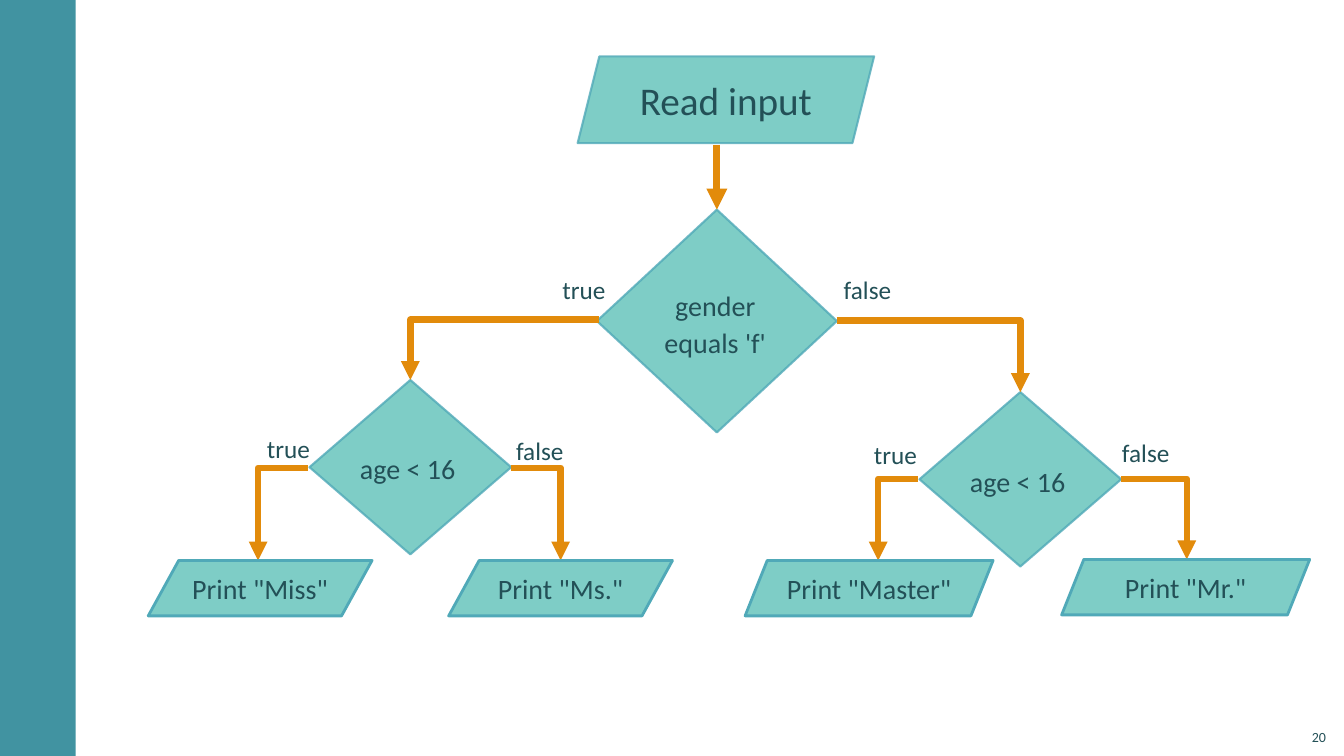
from lxml.etree import SubElement as Sub
from pptx import Presentation
from pptx.dml.color import RGBColor as RGB
from pptx.enum.shapes import MSO_CONNECTOR as Link, MSO_SHAPE as Form
from pptx.enum.text import MSO_ANCHOR as Anchor, PP_ALIGN as Align
from pptx.oxml.ns import qn
from pptx.util import Emu, Pt

SCALE = 9144


def px(n):
    return Emu(n * SCALE)


def color(code):
    return RGB.from_string(code)


def write(frame, text, size=20, align=Align.LEFT, anchor=Anchor.TOP,
          lead=None, inset=(10, 5), ink="235057", font="Calibri"):
    frame.word_wrap = True
    frame.vertical_anchor = anchor
    frame.margin_left = frame.margin_right = px(inset[0])
    frame.margin_top = frame.margin_bottom = px(inset[1])
    para = frame.paragraphs[0]
    para.text = text
    para.alignment = align
    if lead:
        para.line_spacing = lead
    para.font.size = Pt(size)
    para.font.name = font
    para.font.color.rgb = color(ink)


def fade(fill):
    tone = fill._xPr.find(qn("a:solidFill"))[0]
    Sub(tone, qn("a:alpha"), val="80000")


class Chart:
    fill = "5EC1B8"
    edge = "50A9B8"
    arrow = "E28B0B"
    side = "4193A1"

    def __init__(self, slide):
        self.slide = slide

    def shape(self, form, x, y, w, h, fill):
        item = self.slide.shapes.add_shape(form, px(x), px(y), px(w), px(h))
        item.shadow.inherit = False
        item.fill.solid()
        item.fill.fore_color.rgb = color(fill)
        return item

    def band(self, x, y, w, h):
        self.shape(Form.RECTANGLE, x, y, w, h, self.side).line.fill.background()

    def node(self, form, x, y, w, h, width=1.5, clear=True):
        item = self.shape(form, x, y, w, h, self.fill)
        fade(item.fill)
        item.line.color.rgb = color(self.edge)
        item.line.width = Pt(width)
        if clear:
            fade(item.line.fill)
        return item

    def start(self, text, *box):
        item = self.node(Form.PARALLELOGRAM, *box)
        write(item.text_frame, text, size=28, align=Align.CENTER,
              anchor=Anchor.MIDDLE)

    def output(self, text, x, y, w, slant):
        item = self.node(Form.PARALLELOGRAM, x, y, w, 55, 2, False)
        item.adjustments[0] = slant
        write(item.text_frame, text, align=Align.CENTER, anchor=Anchor.MIDDLE)

    def label(self, text, x, y, w, h, **style):
        box = self.slide.shapes.add_textbox(px(x), px(y), px(w), px(h))
        write(box.text_frame, text, **style)

    def test(self, text, box, area, align=Align.LEFT):
        item = self.node(Form.DIAMOND, *box)
        self.label(text, *area, align=align, lead=1.1, inset=(16, 12))
        return item

    def line(self, kind, x, y, ex, ey, width):
        item = self.slide.shapes.add_connector(kind, px(x), px(y), px(ex), px(ey))
        item.line.color.rgb = color(self.arrow)
        item.line.width = Pt(width)
        Sub(item.line._get_or_add_ln(), qn("a:tailEnd"), type="triangle")
        Sub(item._element.spPr, qn("a:effectLst"))
        return item

    def bend(self, x, y, ex, ey):
        props = self.line(Link.ELBOW, x, y, ex, ey, 4.5)._element.spPr
        props.find(qn("a:prstGeom")).set("prst", "bentConnector2")
        if ex < x:
            turn = props.find(qn("a:xfrm"))
            turn.attrib.pop("flipH")
            turn.set("rot", "10800000")
            turn.set("flipV", "1")


def main():
    deck = Presentation()
    deck.slide_width, deck.slide_height = px(1333), px(750)
    chart = Chart(deck.slides.add_slide(deck.slide_layouts[6]))

    chart.band(0, 0, 75, 750)
    chart.start("Read input", 573, 56, 294, 86)
    gender = chart.test("gender\nequals 'f'", (592, 208, 238, 221),
                        (606, 271, 207, 96), Align.CENTER)
    for x, y in ((307, 377), (912, 389)):
        chart.test("age < 16", (x, y, 200, 173), (x + 34, y + 56, 145, 59))

    stem = chart.line(Link.STRAIGHT, 711, 144, 711, 208, 5)
    stem.end_connect(gender, 0)
    for bend in ((594, 317, 407, 377), (830, 318, 1012, 389),
                 (305, 464, 256, 556), (507, 464, 556, 556),
                 (910, 475, 871, 556), (1112, 475, 1177, 555)):
        chart.bend(*bend)

    for text, x, y in (("true", 548, 267), ("false", 827, 267),
                       ("true", 255, 425), ("false", 502, 427),
                       ("true", 857, 431), ("false", 1103, 429)):
        chart.label(text, x, y, 84, 50, size=18)

    for text, x, y, w, slant in (('Print "Miss"', 147, 556, 222, 0.55),
                                 ('Print "Ms."', 445, 556, 222, 0.55),
                                 ('Print "Master"', 739, 556, 246, 0.4),
                                 ('Print "Mr."', 1053, 555, 246, 0.4)):
        chart.output(text, x, y, w, slant)

    chart.label("20", 1285, 712, 40, 32, size=10, align=Align.RIGHT,
                anchor=Anchor.BOTTOM)
    deck.save("out.pptx")


if __name__ == "__main__":
    main()
